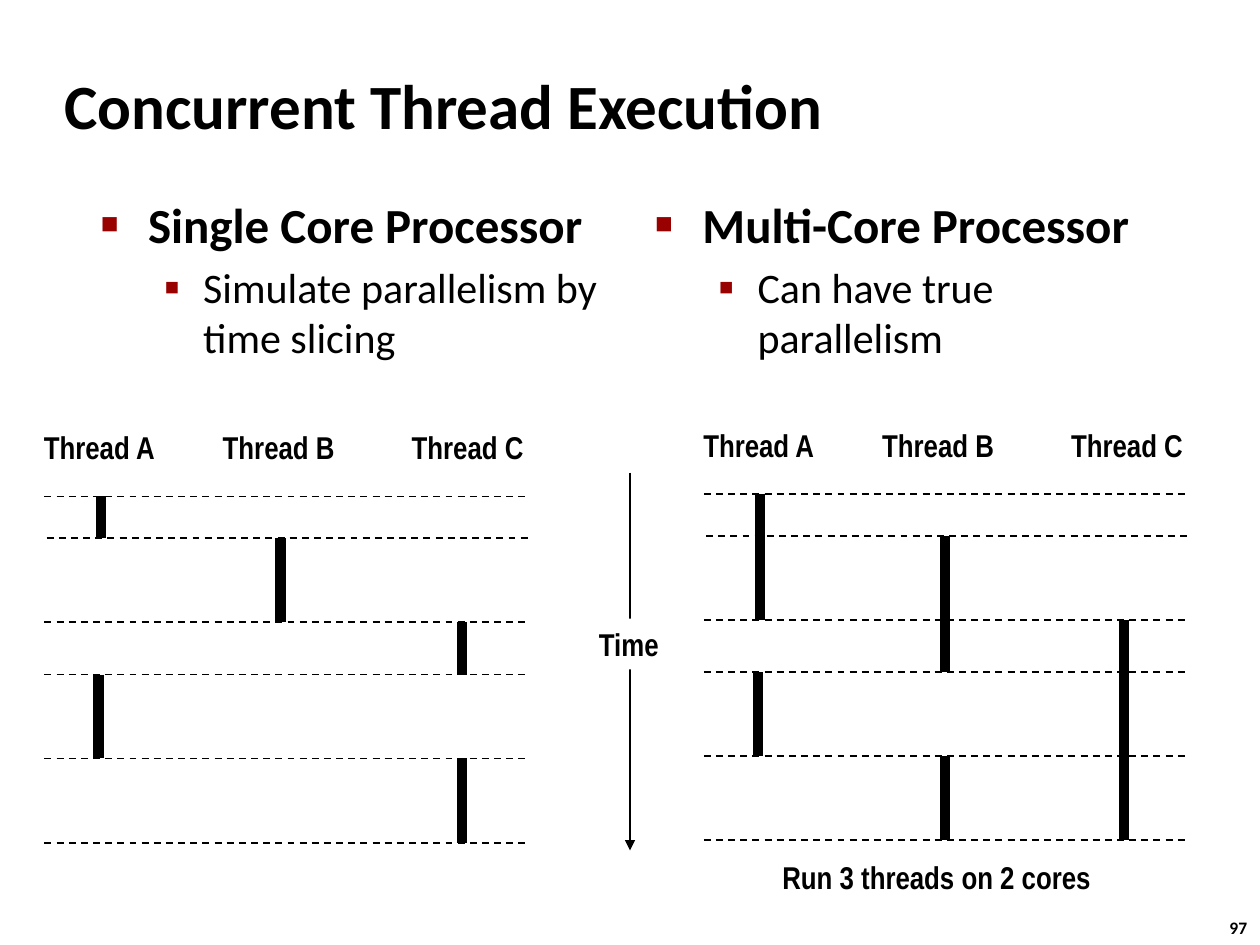
from dataclasses import dataclass
from typing import Any

from lxml.etree import SubElement
from pptx import Presentation
from pptx.dml.color import RGBColor
from pptx.enum.dml import MSO_LINE_DASH_STYLE as Dash
from pptx.enum.shapes import MSO_CONNECTOR as Connector, MSO_SHAPE as Shape
from pptx.enum.text import MSO_ANCHOR as Anchor, MSO_AUTO_SIZE as AutoSize, PP_ALIGN as Align
from pptx.oxml.ns import qn
from pptx.util import Pt


def rgb(value):
    return RGBColor.from_string(value)


@dataclass
class Deck:
    s: Any
    ink: str = "000000"
    paper: str = "FFFFFF"
    accent: str = "990000"
    heading_font: str = "Calibri"
    label_font: str = "Arial Narrow"

    def place(self, sp, x, y, w, h):
        sp.left, sp.top, sp.width, sp.height = Pt(x), Pt(y), Pt(w), Pt(h)

    def format(self, p, font, size, bold=True, align=Align.LEFT):
        p.alignment = align
        for r in p.runs:
            r.font.name, r.font.size, r.font.bold = font, Pt(size), bold
            r.font.color.rgb = rgb(self.ink)

    def title(self, text, x, y, w, h):
        sp = self.s.shapes.title
        self.place(sp, x, y, w, h)
        tf = sp.text_frame
        tf.text = text
        tf.auto_size, tf.vertical_anchor = AutoSize.NONE, Anchor.MIDDLE
        self.format(tf.paragraphs[0], self.heading_font, 36)

    def bullet(self, p, char, percent, margin, hanging):
        pPr = p._p.get_or_add_pPr()
        pPr.set("marL", str(Pt(margin)))
        pPr.set("indent", str(-Pt(hanging)))
        color = SubElement(pPr, qn("a:buClr"))
        SubElement(color, qn("a:srgbClr")).set("val", self.accent)
        SubElement(pPr, qn("a:buSzPct")).set("val", str(percent * 1000))
        SubElement(pPr, qn("a:buChar")).set("char", char)

    def body(self, index, heading, detail, x, y, w, h):
        sp = self.s.placeholders[index]
        self.place(sp, x, y, w, h)
        tf = sp.text_frame
        tf.text = heading
        tf.auto_size = AutoSize.NONE
        first, second = tf.paragraphs[0], tf.add_paragraph()
        second.text, second.level = detail, 1
        self.format(first, self.heading_font, 28)
        self.format(second, self.heading_font, 24, False)
        self.bullet(first, "■", 60, 27, 27)
        self.bullet(second, "▪", 110, 58.5, 22.5)

    def label(self, text, x, y, w, h=29, size=18, font=None):
        sp = self.s.shapes.add_textbox(Pt(x), Pt(y), Pt(w), Pt(h))
        sp.text_frame.text = text
        sp.text_frame.word_wrap = False
        self.format(sp.text_frame.paragraphs[0], font or self.label_font, size)

    def box(self, text, x, y, w, h):
        sp = self.s.shapes.add_shape(Shape.RECTANGLE, Pt(x), Pt(y), Pt(w), Pt(h))
        sp.shadow.inherit = False
        sp.fill.solid()
        sp.fill.fore_color.rgb = rgb(self.paper)
        sp.line.fill.background()
        sp.text_frame.text = text
        sp.text_frame.word_wrap = False
        self.format(sp.text_frame.paragraphs[0], self.label_font, 18, align=Align.CENTER)

    def line(self, x1, y1, x2, y2, width=1, dash=None, arrow=False):
        sp = self.s.shapes.add_connector(Connector.STRAIGHT, Pt(x1), Pt(y1), Pt(x2), Pt(y2))
        sp.line.color.rgb = rgb(self.ink)
        sp.line.width = Pt(width)
        if dash:
            sp.line.dash_style = dash
        if arrow:
            SubElement(sp.line._get_or_add_ln(), qn("a:tailEnd")).set("type", "triangle")
        SubElement(sp._element.spPr, qn("a:effectLst"))

    def timeline(self, x, y, bars):
        for name, dx, w in (("A", 0, 83.5), ("B", 102.2, 82), ("C", 210.2, 81.4)):
            self.label(f"Thread {name}", x + dx, y, w)
        rows = [y + dy for dy in (42.5, 66.3, 114.4, 144.3, 192.2, 240.4)]
        for column, start, end in bars:
            self.line(x + column, rows[start], x + column, rows[end], 6)
        for i, row in enumerate(rows):
            left = x + (8.7 if i == 1 else 7.4)
            self.line(left, row, left + 275, row, dash=Dash.DASH)


def main():
    prs = Presentation()
    prs.slide_width, prs.slide_height = Pt(720), Pt(540)
    deck = Deck(prs.slides.add_slide(prs.slide_layouts[3]))
    deck.label("97", 695.5, 520.5, 26.6, 19.4, 10, deck.heading_font)
    deck.title("Concurrent Thread Execution", 29.5, 29.5, 597.6, 60)
    deck.body(1, "Single Core Processor", "Simulate parallelism by time slicing", 50.4, 107.3, 304.5, 391.7)
    deck.body(2, "Multi-Core Processor", "Can have true parallelism", 367.2, 107.3, 304.5, 391.7)
    deck.line(360, 270, 360, 486, arrow=True)
    deck.box("Time", 333.4, 353.5, 51.8, 29)
    deck.timeline(18, 241.2, [(39.6, 0, 1), (142.3, 1, 2), (246, 2, 3), (38.4, 3, 4), (246, 4, 5)])
    deck.timeline(394.8, 239.8, [(39.6, 0, 2), (145.2, 1, 3), (247.4, 2, 5), (38.4, 3, 4), (145.2, 4, 5)])
    deck.label("Run 3 threads on 2 cores", 440, 486.7, 200)
    prs.save("out.pptx")


if __name__ == "__main__":
    main()
